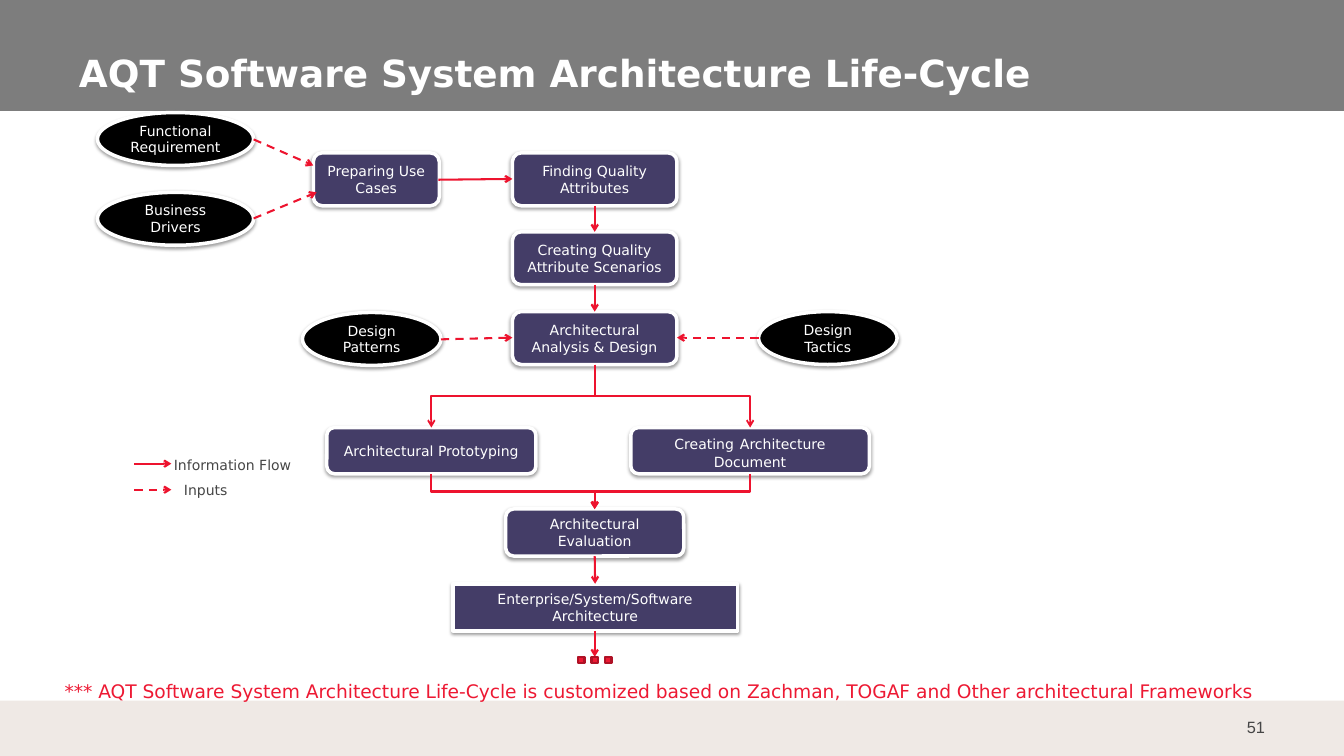
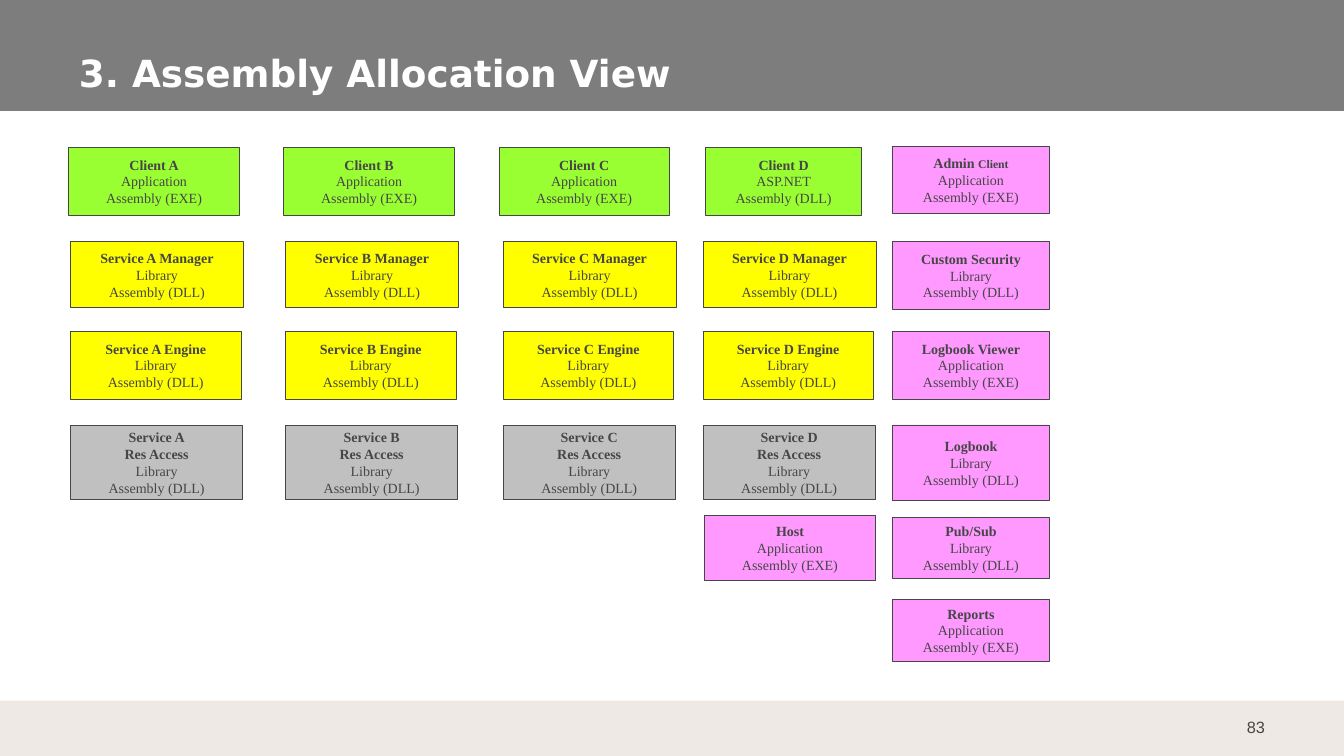
from dataclasses import dataclass

from lxml.etree import SubElement as Sub
from pptx import Presentation
from pptx.dml.color import RGBColor as Rgb
from pptx.enum.dml import MSO_LINE as Dash
from pptx.enum.shapes import MSO_CONNECTOR as Link, MSO_SHAPE as Kind
from pptx.enum.text import MSO_ANCHOR as Anchor, MSO_AUTO_SIZE as Fit, PP_ALIGN as Align
from pptx.oxml.ns import qn
from pptx.util import Inches, Pt


@dataclass(frozen=True)
class Theme:
    # Colours
    band: str = "7D7D7D"
    foot: str = "EFE9E5"
    ink: str = "464646"
    white: str = "FFFFFF"
    black: str = "000000"
    step: str = "443D67"
    flow: str = "ED132E"
    note: str = "ED1933"
    edge: str = "AF1226"
    green: str = "99FF33"
    yellow: str = "FFFF00"
    grey: str = "C0C0C0"
    pink: str = "FF99FF"
    # Fonts and sizes
    sans: str = "DejaVu Sans"
    serif: str = "Times New Roman"
    plain: str = "Arial"
    head: int = 32
    big: int = 16
    page: int = 14
    body: int = 12
    small: int = 10


T = Theme()


def write(frame, text, align=Align.CENTER, anchor=Anchor.MIDDLE, inset=(0.1, 0.05),
          wrap=True, **fmt):
    """Fill a frame; text is a string or a list of lines, a line a string or a list of runs."""
    base = dict(font=T.sans, size=T.body, color=T.ink, bold=False) | fmt
    frame.auto_size, frame.word_wrap, frame.vertical_anchor = Fit.NONE, wrap, anchor
    frame.margin_left = frame.margin_right = Inches(inset[0])
    frame.margin_top = frame.margin_bottom = Inches(inset[1])
    for i, line in enumerate([text] if isinstance(text, str) else text):
        para = frame.add_paragraph() if i else frame.paragraphs[0]
        para.alignment = align
        for part, diff in [(line, {})] if isinstance(line, str) else line:
            look = base | diff
            run = para.add_run()
            run.text = part
            run.font.name, run.font.size = look["font"], Pt(look["size"])
            run.font.bold = look["bold"]
            run.font.color.rgb = Rgb.from_string(look["color"])


class Deck:
    def __init__(self):
        self.file = Presentation()
        self.file.slide_width, self.file.slide_height = Inches(16), Inches(9)
        self.slide = None

    def page(self, title, number):
        """Start a slide with its bands, number and title."""
        self.slide = self.file.slides.add_slide(self.file.slide_layouts[5])
        self.shape(Kind.RECTANGLE, (-0.02, 0, 16.05, 1.32), T.band)
        self.shape(Kind.RECTANGLE, (0, 8.34, 16, 0.66), T.foot)
        pad = (0.14, 0.07)
        self.text((14.4, 8.42, 0.8, 0.48), number, align=Align.RIGHT, inset=pad,
                  font=T.plain, size=T.page)
        head = self.slide.shapes.title
        head.left, head.top, head.width, head.height = map(Inches, (0.8, 0.46, 14.21, 0.74))
        write(head.text_frame, title, align=Align.LEFT, anchor=Anchor.BOTTOM, inset=pad,
              size=T.head, color=T.white, bold=True)
        head.element.getparent().append(head.element)  # in front of the band

    def shape(self, kind, at, fill, line=None, width=0.75):
        item = self.slide.shapes.add_shape(kind, *map(Inches, at))
        item.shadow.inherit = False
        item.fill.solid()
        item.fill.fore_color.rgb = Rgb.from_string(fill)
        if line:
            item.line.color.rgb = Rgb.from_string(line)
            item.line.width = Pt(width)
        else:
            item.line.fill.background()
        return item

    def text(self, at, text, **fmt):
        item = self.slide.shapes.add_textbox(*map(Inches, at))
        write(item.text_frame, text, **fmt)

    def node(self, at, text, kind=Kind.ROUNDED_RECTANGLE, fill=T.step):
        """A white-edged shape with a soft shadow below."""
        item = self.shape(kind, at, fill, T.white, 3)
        glow = Sub(item.element.spPr.find(qn("a:effectLst")), qn("a:outerShdw"),
                   blurRad=str(Pt(3.1)), dist=str(Pt(1.6)), dir="5400000", rotWithShape="0")
        Sub(Sub(glow, qn("a:srgbClr"), val=T.black), qn("a:alpha"), val="38000")
        write(item.text_frame, text, color=T.white)
        return item

    def oval(self, at, text):
        return self.node(at, text, Kind.OVAL, T.black)

    def wire(self, kind, ends, width=1.75, dash=False):
        """A red connector with an arrowhead; ends are in EMU."""
        item = self.slide.shapes.add_connector(kind, *ends)
        item.line.color.rgb = Rgb.from_string(T.flow)
        item.line.width = Pt(width)
        if dash:
            item.line.dash_style = Dash.DASH
        Sub(item.line._get_or_add_ln(), qn("a:tailEnd"), type="arrow")
        Sub(item.element.spPr, qn("a:effectLst"))
        return item

    def arrow(self, *ends, dash=False):
        self.wire(Link.STRAIGHT, map(Inches, ends), dash=dash)

    def join(self, top, low):
        """A straight arrow glued from the foot of one box to the head of the next."""
        item = self.wire(Link.STRAIGHT, (0, 0, 0, 0))
        item.begin_connect(top, 2)
        item.end_connect(low, 0)

    def bend(self, top, low, width):
        """An elbow that leaves downwards: a sideways one, turned a quarter."""
        x1, y1 = top.left + top.width // 2, top.top + top.height
        x2, y2 = low.left + low.width // 2, low.top
        cx, cy = (x1 + x2) // 2, (y1 + y2) // 2
        dx, dy = abs(x2 - x1) // 2, (y2 - y1) // 2
        item = self.wire(Link.ELBOW, (cx - dy, cy - dx, cx + dy, cy + dx), width)
        turn = item.element.spPr.find(qn("a:xfrm"))
        if x2 < x1:
            turn.set("rot", "5400000")
        else:
            turn.set("rot", "16200000")
            turn.set("flipH", "1")

    def card(self, at, fill, name, sort, ending):
        """A flat assembly card; name is a list of bold lines."""
        item = self.shape(Kind.RECTANGLE, at, fill, T.ink)
        bold = [[(part, {"bold": True})] if isinstance(part, str) else part for part in name]
        write(item.text_frame, bold + [sort, f"Assembly ({ending})"], wrap=False, font=T.serif)


def cycle(deck):
    deck.page("AQT Software System Architecture Life-Cycle", "51")

    # Inputs
    deck.oval((1.16, 1.34, 1.86, 0.63), "Functional Requirement")
    deck.oval((1.16, 2.29, 1.86, 0.63), "Business Drivers")
    deck.oval((3.6, 3.72, 1.65, 0.63), "Design Patterns")
    deck.oval((9.03, 3.71, 1.65, 0.63), "Design Tactics")

    # Steps
    deck.node((3.73, 1.82, 1.5, 0.63), "Preparing Use Cases")
    find = deck.node((6.1, 1.82, 1.96, 0.63), "Finding Quality Attributes")
    scene = deck.node((6.1, 2.76, 1.96, 0.63), ["Creating Quality", "Attribute Scenarios"])
    plan = deck.node((6.1, 3.71, 1.96, 0.63), ["Architectural", "Analysis & Design"])
    proto = deck.node((3.89, 5.09, 2.49, 0.55), "Architectural Prototyping")
    gap = (" ", {"size": T.big})
    paper = deck.node((7.51, 5.09, 2.84, 0.55),
                      [[("Creating", {}), gap, ("Architecture", {}), gap, ("Document", {})]])
    check = deck.node((6.02, 6.06, 2.12, 0.56), "Architectural Evaluation")
    result = deck.node((5.39, 6.95, 3.39, 0.56), "Enterprise/System/Software Architecture",
                       Kind.RECTANGLE)

    # Information flow
    deck.arrow(5.22, 2.14, 6.1, 2.13)
    for top, low in ((find, scene), (scene, plan), (check, result)):
        deck.join(top, low)
    for side in (proto, paper):
        deck.bend(plan, side, 1.5)
        deck.bend(side, check, 2)
    deck.arrow(7.08, 7.51, 7.08, 7.82)

    # Input arrows
    for ends in ((3.02, 1.66, 3.73, 1.97), (3.02, 2.6, 3.77, 2.29),
                 (5.25, 4.04, 6.1, 4.02), (9.03, 4.02, 8.06, 4.02)):
        deck.arrow(*ends, dash=True)

    # Continuation dots
    dots = [deck.shape(Kind.RECTANGLE, (6.88 + 0.16 * i, 7.82, 0.08, 0.07), T.note, T.edge, 2)
            for i in range(3)]
    deck.slide.shapes.add_group_shape(dots)

    # Legend and note
    for x, y, label, mid, dash in ((2.07, 5.44, "Information Flow", 5.52, False),
                                   (2.19, 5.73, "Inputs", 5.83, True)):
        deck.arrow(1.6, mid, 2.04, mid, dash=dash)
        deck.text((x, y, 1.42, 0.24), label, align=Align.LEFT, anchor=Anchor.TOP,
                  inset=(0, 0), wrap=False)
    deck.text((0.67, 8.04, 14.64, 0.37),
              "*** AQT Software System Architecture Life-Cycle is customized based on "
              "Zachman, TOGAF and Other architectural Frameworks",
              align=Align.LEFT, anchor=Anchor.TOP, wrap=False, size=T.big, color=T.note)


def assembly(deck):
    deck.page("3. Assembly Allocation View", "83")
    app, lib = ("Application", "EXE"), ("Library", "DLL")

    # Clients
    for key, x, wide, kind in (("A", 0.82, 2.03, app), ("B", 3.38, 2.03, app),
                               ("C", 5.94, 2.03, app), ("D", 8.4, 1.86, ("ASP.NET", "DLL"))):
        deck.card((x, 1.76, wide, 0.8), T.green, [f"Client {key}"], *kind)

    # Services: manager, engine and access rows
    for key, x in zip("ABCD", (0.84, 3.4, 5.99, 8.37)):
        name = f"Service {key}"
        deck.card((x, 2.88, 2.06, 0.78), T.yellow, [f"{name} Manager"], *lib)
        deck.card((x, 3.95, 2.03, 0.8), T.yellow, [f"{name} Engine"], *lib)
        deck.card((x, 5.06, 2.05, 0.89), T.grey, [name, "Res Access"], *lib)

    # Host and the shared column
    deck.card((8.39, 6.14, 2.03, 0.77), T.pink, ["Host"], *app)
    admin = [("Admin ", {"bold": True}), ("Client", {"bold": True, "size": T.small})]
    for y, high, name, kind in ((1.74, 0.8, admin, app), (2.88, 0.8, "Custom Security", lib),
                                (3.95, 0.8, "Logbook Viewer", app), (5.06, 0.9, "Logbook", lib),
                                (6.16, 0.73, "Pub/Sub", lib), (7.14, 0.73, "Reports", app)):
        deck.card((10.63, y, 1.86, high), T.pink, [name], *kind)


def main():
    deck = Deck()
    cycle(deck)
    assembly(deck)
    deck.file.save("out.pptx")


if __name__ == "__main__":
    main()
